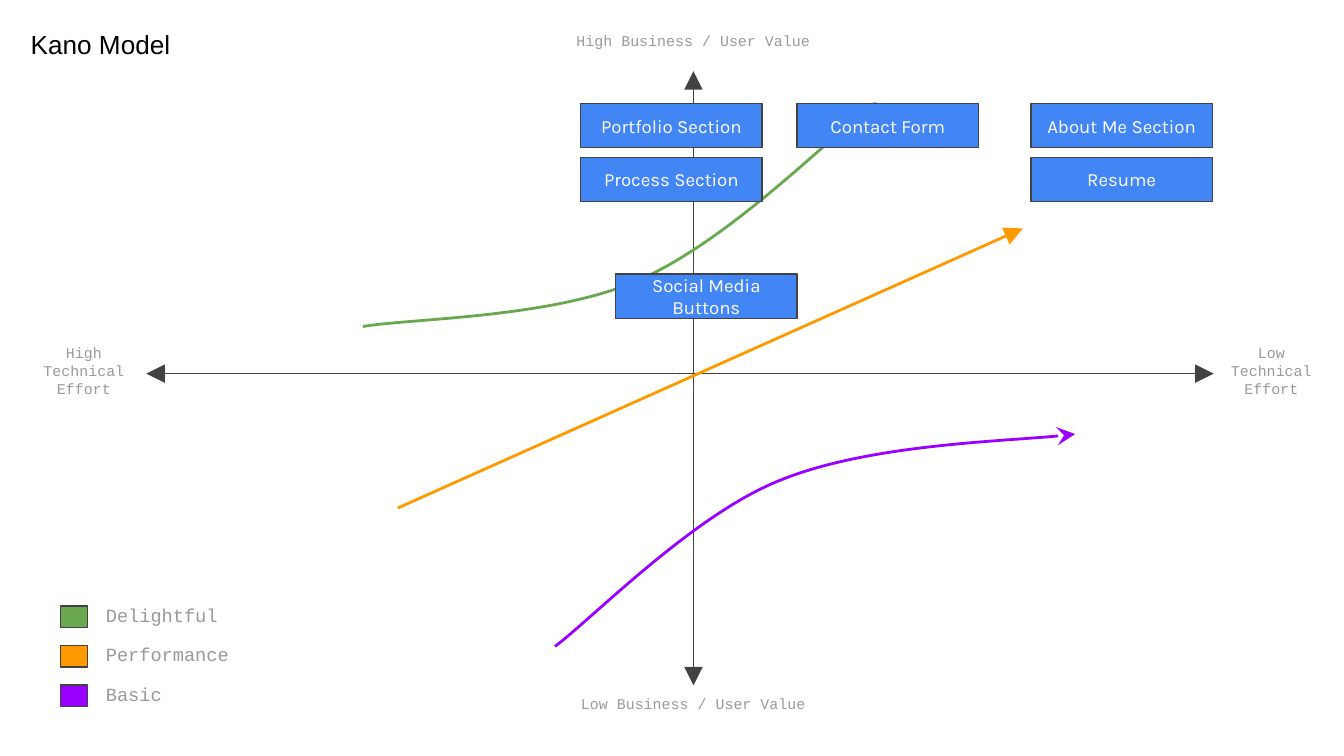
from pptx import Presentation
from pptx.dml.color import RGBColor
from pptx.enum.shapes import MSO_CONNECTOR, MSO_SHAPE
from pptx.enum.text import MSO_ANCHOR, PP_ALIGN
from pptx.oxml.ns import qn
from pptx.util import Emu, Inches, Pt
from lxml import etree

LINE, RECT = MSO_CONNECTOR.STRAIGHT, MSO_SHAPE.RECTANGLE
TOP, MID = MSO_ANCHOR.TOP, MSO_ANCHOR.MIDDLE
LEFT, MIDDLE = PP_ALIGN.LEFT, PP_ALIGN.CENTER
COLS, ROWS = 100, 56.25  # grid over the whole slide
UNIT = Inches(10) / COLS
HUES = {
    "ink": "000000", "edge": "424242", "label": "999999", "white": "FFFFFF",
    "card": "4285F4", "green": "6AA84F", "orange": "FF9900", "purple": "9900FF",
}


def emu(*cells):
    return [Emu(round(c * UNIT)) for c in cells]


def color(name):
    return RGBColor.from_string(HUES[name])


def write(frame, text, size=8, font="Courier New", hue="label", align=LEFT, anchor=TOP):
    frame.word_wrap = True
    frame.vertical_anchor = anchor
    frame.margin_left = frame.margin_right = Inches(0.1)
    frame.margin_top = frame.margin_bottom = Inches(0.1)
    par = frame.paragraphs[0]
    par.alignment = align
    run = par.add_run()
    run.text = text
    run.font.size, run.font.name = Pt(size), font
    run.font.color.rgb = color(hue)


def label(slide, box, text, **style):
    write(slide.shapes.add_textbox(*emu(*box)).text_frame, text, **style)


def block(slide, box, hue):
    shape = slide.shapes.add_shape(RECT, *emu(*box))
    shape.shadow.inherit = False
    shape.fill.solid()
    shape.fill.fore_color.rgb = color(hue)
    stroke(shape, "edge", 0.75)
    return shape


def stroke(shape, hue, width, ends=()):
    shape.line.color.rgb = color(hue)
    shape.line.width = Pt(width)
    ln = shape.line.fill._xPr
    for end, kind in ends:
        etree.SubElement(ln, qn(f"a:{end}"), type=kind, w="lg", len="lg")


def arrow(slide, start, stop, hue, width, ends):
    line = slide.shapes.add_connector(LINE, *emu(*start, *stop))
    stroke(line, hue, width, ends)
    etree.SubElement(line._element.spPr, qn("a:effectLst"))


def curve(slide, points, hue):
    first, *rest = [emu(*p) for p in points]
    pen = slide.shapes.build_freeform(*first)
    pen.add_line_segments(rest, close=False)
    shape = pen.convert_to_shape()
    shape.shadow.inherit = False
    shape.fill.background()
    stroke(shape, hue, 1.5, [("tailEnd", "stealth")])
    # Each three straight steps become one Bezier segment
    way = shape._element.find(".//" + qn("a:path"))
    steps = way.findall(qn("a:lnTo"))
    for i in range(0, len(steps), 3):
        bend = etree.SubElement(way, qn("a:cubicBezTo"))
        for step in steps[i:i + 3]:
            bend.append(step[0])
            way.remove(step)


def plot(slide, box):
    x, y, w, h = box
    cx, cy = x + 40.7, y + 22.5  # where the axes cross

    def at(*points):
        return [(cx + dx, cy + dy) for dx, dy in points]

    # Axes
    both = [("headEnd", "triangle"), ("tailEnd", "triangle")]
    arrow(slide, (cx, y), (cx, y + h), "edge", 0.75, both)
    arrow(slide, (x + w, cy), (x, cy), "edge", 0.75, both)

    # Kano curves
    curve(slide, at((-24.6, -3.5), (-21.2, -4.1), (-10.6, -4.1), (-4.2, -6.9),
                    (2.1, -9.6), (10.6, -18), (13.6, -20.2)), "green")
    curve(slide, at((-10.3, 20.3), (-7.5, 18.2), (-0.1, 10.6), (6.3, 8),
                    (12.8, 5.3), (24.7, 5), (28.4, 4.5)), "purple")
    arrow(slide, *at((-22, 10), (24.5, -10.8)), "orange", 1.5,
          [("tailEnd", "triangle")])

    # Axis names
    for top, name in ((y - 3.6, "High"), (y + h, "Low")):
        label(slide, (cx - 9.8, top, 19.6, 3.6), f"{name} Business / User Value",
              align=MIDDLE)
    for left, wide, name in ((x - 9.8, 10.3, "High"), (x + w, 8.6, "Low")):
        label(slide, (left, cy - 2, wide, 3.6), f"{name} Technical Effort",
              align=MIDDLE, anchor=MID)


def legend(slide, box):
    x, y, w, h = box
    keys = (("Delightful", "green"), ("Performance", "orange"), ("Basic", "purple"))
    step = h / len(keys)
    for i, (name, hue) in enumerate(keys):
        top = y + i * step
        block(slide, (x, top + 1, 2, 1.6), hue)
        label(slide, (x + 2.4, top, w - 2.4, 3.6), name, size=10)


def cards(slide, box):
    x, y, w, h = box
    wide, high = 13.5, 3.3
    last, low = w - wide, h - high
    items = (
        (0, 0, "Portfolio Section"), (16.1, 0, "Contact Form"),
        (last, 0, "About Me Section"), (0, 4, "Process Section"),
        (last, 4, "Resume"), (2.6, low, "Social Media Buttons"),
    )
    for dx, dy, name in items:
        card = block(slide, (x + dx, y + dy, wide, high), "card")
        write(card.text_frame, name, size=10, font="Karla", hue="white",
              align=MIDDLE, anchor=MID)


def main():
    deck = Presentation()
    deck.slide_width, deck.slide_height = emu(COLS, ROWS)
    slide = deck.slides.add_slide(deck.slide_layouts[6])
    plot(slide, (10.9, 5.3, 79.4, 45.7))
    legend(slide, (4.5, 44.1, 22, 8.8))
    cards(slide, (43.2, 7.7, 47, 16))
    label(slide, (1.3, 1.1, 15.6, 3.1), "Kano Model", size=14, font="Arial", hue="ink")
    deck.save("out.pptx")


if __name__ == "__main__":
    main()
